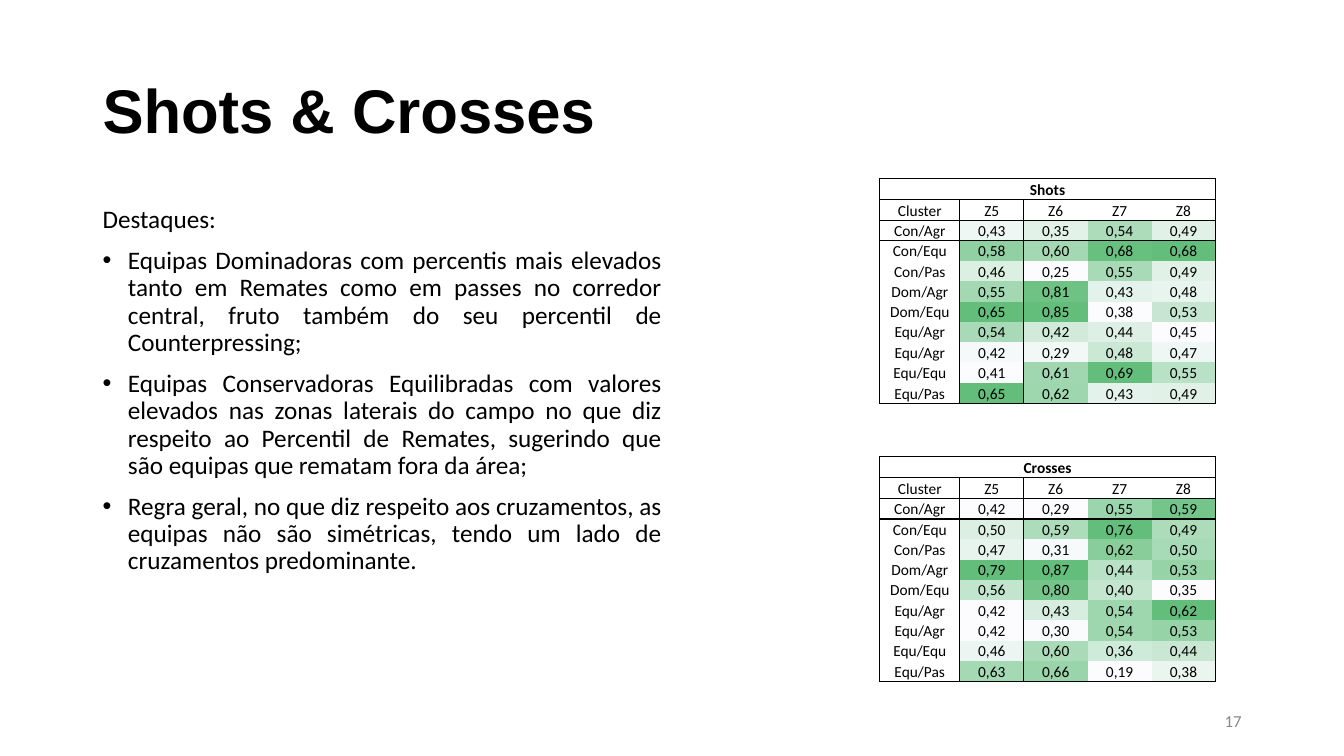
import pptx
import pptx.dml.color
import pptx.enum.text
import pptx.oxml
import pptx.oxml.ns
import pptx.util
from pptx.util import Cm

BLACK = pptx.dml.color.RGBColor(0x00, 0x00, 0x00)
GREY = pptx.dml.color.RGBColor(0x88, 0x88, 0x88)
SCALE_LOW = pptx.dml.color.RGBColor(0xFC, 0xFC, 0xFF)
SCALE_HIGH = pptx.dml.color.RGBColor(0x63, 0xBE, 0x7B)

ALIGN = pptx.enum.text.PP_ALIGN
ANCHOR = pptx.enum.text.MSO_ANCHOR
NO_STYLE = "{2D5ABB26-0587-4C30-8999-92F81FD0307C}"

HIGHLIGHTS = [
    "Equipas Dominadoras com percentis mais elevados tanto em Remates como em passes "
    "no corredor central, fruto também do seu percentil de Counterpressing;",
    "Equipas Conservadoras Equilibradas com valores elevados nas zonas laterais do campo "
    "no que diz respeito ao Percentil de Remates, sugerindo que são equipas que rematam "
    "fora da área;",
    "Regra geral, no que diz respeito aos cruzamentos, as equipas não são simétricas, "
    "tendo um lado de cruzamentos predominante.",
]

ZONES = ["Z5", "Z6", "Z7", "Z8"]
CLUSTERS = ["Con/Agr", "Con/Equ", "Con/Pas", "Dom/Agr", "Dom/Equ",
            "Equ/Agr", "Equ/Agr", "Equ/Equ", "Equ/Pas"]
SHOTS = [
    (0.43, 0.35, 0.54, 0.49),
    (0.58, 0.60, 0.68, 0.68),
    (0.46, 0.25, 0.55, 0.49),
    (0.55, 0.81, 0.43, 0.48),
    (0.65, 0.85, 0.38, 0.53),
    (0.54, 0.42, 0.44, 0.45),
    (0.42, 0.29, 0.48, 0.47),
    (0.41, 0.61, 0.69, 0.55),
    (0.65, 0.62, 0.43, 0.49),
]
CROSSES = [
    (0.42, 0.29, 0.55, 0.59),
    (0.50, 0.59, 0.76, 0.49),
    (0.47, 0.31, 0.62, 0.50),
    (0.79, 0.87, 0.44, 0.53),
    (0.56, 0.80, 0.40, 0.35),
    (0.42, 0.43, 0.54, 0.62),
    (0.42, 0.30, 0.54, 0.53),
    (0.46, 0.60, 0.36, 0.44),
    (0.63, 0.66, 0.19, 0.38),
]


def place(shape, left, top, width, height):
    shape.left, shape.top = Cm(left), Cm(top)
    shape.width, shape.height = Cm(width), Cm(height)


def add_text(paragraph, text, size, color=BLACK, bold=False, font="Calibri",
             align=ALIGN.LEFT):
    paragraph.alignment = align
    run = paragraph.add_run()
    run.text = text
    run.font.name = font
    run.font.size = pptx.util.Pt(size)
    run.font.bold = bold
    run.font.color.rgb = color


def set_bullet(paragraph, indent, bullet):
    properties = paragraph._p.get_or_add_pPr()
    properties.set("marL", str(indent))
    properties.set("indent", str(-indent))
    if bullet:
        font = pptx.oxml.ns.qn("a:buFont")
        properties.append(properties.makeelement(font, {"typeface": "Arial"}))
        mark = properties.makeelement(pptx.oxml.ns.qn("a:buChar"), {"char": bullet})
    else:
        mark = properties.makeelement(pptx.oxml.ns.qn("a:buNone"), {})
    properties.append(mark)


def add_title(slide, text):
    title = slide.shapes.title
    place(title, 2.33, 1.01, 29.21, 3.68)
    frame = title.text_frame
    frame.auto_size = pptx.enum.text.MSO_AUTO_SIZE.NONE
    frame.vertical_anchor = ANCHOR.MIDDLE
    frame.paragraphs[0].line_spacing = 0.9
    add_text(frame.paragraphs[0], text, 44, bold=True, font="Arial")


def add_highlights(slide, heading, items):
    body = slide.placeholders[1]
    place(body, 2.33, 5.08, 14.6, 12.09)
    frame = body.text_frame
    frame.auto_size = pptx.enum.text.MSO_AUTO_SIZE.NONE
    for index, text in enumerate([heading] + items):
        paragraph = frame.add_paragraph() if index else frame.paragraphs[0]
        paragraph.line_spacing = 0.9
        paragraph.space_before = pptx.util.Pt(10 if index else 0)
        set_bullet(paragraph, Cm(0.64 if index else 0), "•" if index else None)
        add_text(paragraph, text, 18, align=ALIGN.JUSTIFY)


def scale_color(value, column):
    share = (value - min(column)) / (max(column) - min(column))
    return pptx.dml.color.RGBColor(
        *(round(low + share * (high - low)) for low, high in zip(SCALE_LOW, SCALE_HIGH)))


def set_borders(cell, sides):
    properties = cell._tc.get_or_add_tcPr()
    for side in "LRTB":
        if side in sides:
            properties.append(pptx.oxml.parse_xml(
                f'<a:ln{side} {pptx.oxml.ns.nsdecls("a")} w="12700"><a:solidFill>'
                f'<a:srgbClr val="{BLACK}"/></a:solidFill></a:ln{side}>'))


def border_sides(row, column, last_row, last_column):
    rules = {
        "L": column == 0 or (column == 1 and row > 0),
        "R": column == last_column or column == 0,
        "T": row <= 2,
        "B": row <= 1 or row == last_row,
    }
    return [side for side, drawn in rules.items() if drawn]


def add_heat_table(slide, top, heading, values):
    rows = [[heading] + [""] * len(ZONES), ["Cluster"] + ZONES]
    for cluster, numbers in zip(CLUSTERS, values):
        rows.append([cluster] + [f"{number:.2f}".replace(".", ",") for number in numbers])
    columns = list(zip(*values))
    last_row, last_column = len(rows) - 1, len(ZONES)

    frame = slide.shapes.add_table(len(rows), last_column + 1,
                                   Cm(22.17), Cm(top), Cm(8.5), Cm(5.67))
    table = frame.table
    table.first_row = table.horz_banding = False
    table._tbl.tblPr.find(pptx.oxml.ns.qn("a:tableStyleId")).text = NO_STYLE
    for index, column in enumerate(table.columns):
        column.width = Cm(1.61 if index else 2.02)
    for index, row in enumerate(table.rows):
        row.height = Cm(0.53 if index in (0, 1, last_row) else 0.51)
    table.cell(0, 0).merge(table.cell(0, last_column))

    for row, texts in enumerate(rows):
        for column, text in enumerate(texts):
            cell = table.cell(row, column)
            cell.margin_left = cell.margin_right = cell.margin_top = Cm(0.02)
            cell.margin_bottom = 0
            cell.vertical_anchor = ANCHOR.BOTTOM
            set_borders(cell, border_sides(row, column, last_row, last_column))
            if row > 1 and column > 0:
                cell.fill.solid()
                cell.fill.fore_color.rgb = scale_color(
                    values[row - 2][column - 1], columns[column - 1])
            else:
                cell.fill.background()
            if text:
                add_text(cell.text_frame.paragraphs[0], text, 11, bold=row == 0,
                         align=ALIGN.CENTER)


def add_page_number(slide, number):
    box = slide.shapes.add_textbox(Cm(23.92), Cm(17.65), Cm(7.62), Cm(1.01))
    frame = box.text_frame
    frame.word_wrap = True
    frame.vertical_anchor = ANCHOR.MIDDLE
    add_text(frame.paragraphs[0], number, 12, color=GREY, align=ALIGN.RIGHT)


def main():
    presentation = pptx.Presentation()
    presentation.slide_width, presentation.slide_height = Cm(33.87), Cm(19.05)
    slide = presentation.slides.add_slide(presentation.slide_layouts[1])

    # Title and highlights
    add_title(slide, "Shots & Crosses")
    add_highlights(slide, "Destaques:", HIGHLIGHTS)

    # Heat tables, shaded from the lowest to the highest value of each zone
    add_heat_table(slide, 4.5, "Shots", SHOTS)
    add_heat_table(slide, 11.51, "Crosses", CROSSES)

    # Page number
    add_page_number(slide, "17")
    presentation.save("out.pptx")


if __name__ == "__main__":
    main()
